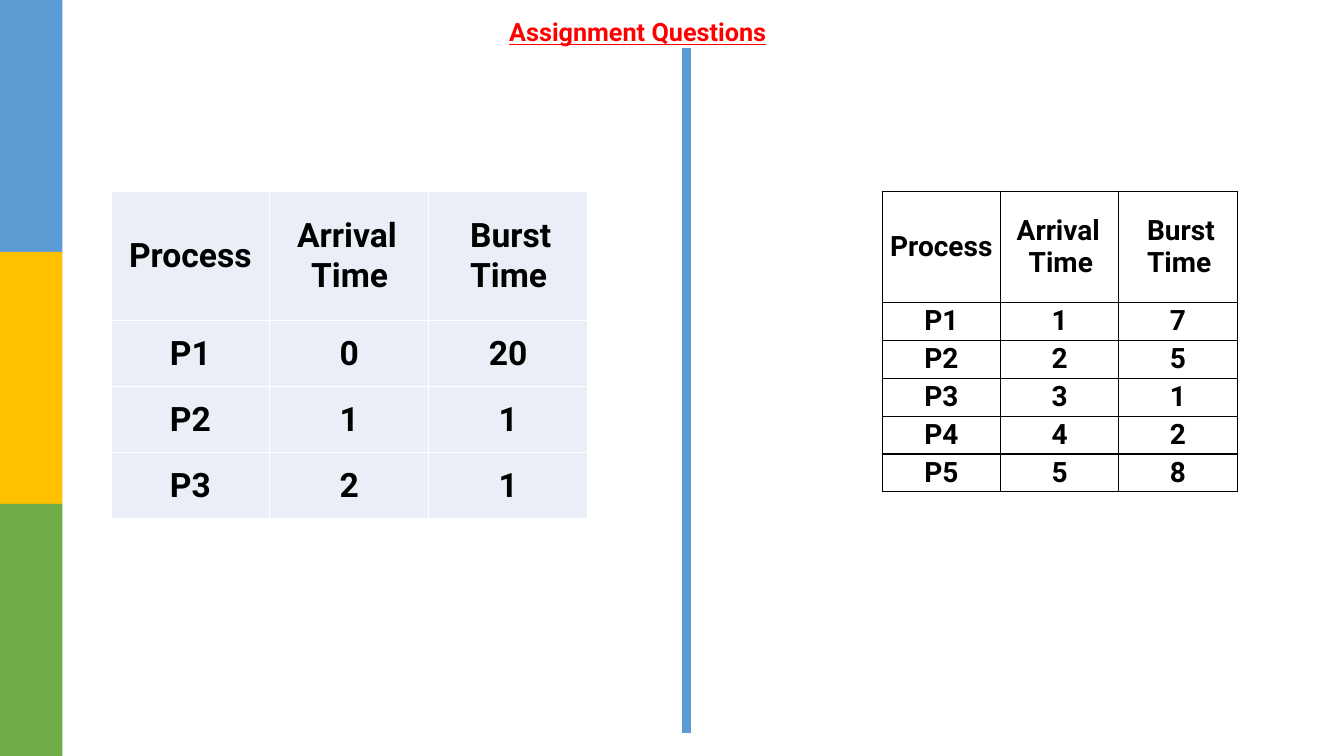
from lxml import etree
from pptx import Presentation
from pptx.dml.color import RGBColor
from pptx.enum import shapes, text
from pptx.oxml.ns import qn
from pptx.util import Inches, Pt

BLUE = RGBColor(0x5B, 0x9B, 0xD4)
YELLOW = RGBColor(0xFF, 0xC0, 0x00)
GREEN = RGBColor(0x6F, 0xAC, 0x46)
RED = RGBColor(0xFF, 0x00, 0x00)
BLACK = RGBColor(0x00, 0x00, 0x00)
WHITE = RGBColor(0xFF, 0xFF, 0xFF)
PALE_BLUE = RGBColor(0xEA, 0xEE, 0xF7)

FONT = "Roboto"
SLIDE_HEIGHT = 7.5
HEADINGS = [["Process"], ["Arrival", "Time"], ["Burst", "Time"]]


def add_run(paragraph, words, size, color):
    run = paragraph.add_run()
    run.text = words
    run.font.name = FONT
    run.font.size = Pt(size)
    run.font.bold = True
    run.font.color.rgb = color
    return run


def clear_margins(holder):
    holder.margin_left = holder.margin_right = 0
    holder.margin_top = holder.margin_bottom = 0


def add_title(slide, words):
    title = slide.shapes.title
    title.left, title.top = Inches(5.05), Inches(0.15)
    title.width, title.height = Inches(2.68), Inches(0.33)
    frame = title.text_frame
    clear_margins(frame)
    frame.word_wrap = True
    frame.auto_size = text.MSO_AUTO_SIZE.NONE
    frame.vertical_anchor = text.MSO_ANCHOR.MIDDLE
    heading = frame.paragraphs[0]
    heading.alignment = text.PP_ALIGN.LEFT
    heading.line_spacing = 1.0
    add_run(heading, words, 18, RED).font.underline = True


def add_side_bands(slide, colors):
    height = SLIDE_HEIGHT / len(colors)
    for i, color in enumerate(colors):
        band = slide.shapes.add_shape(
            shapes.MSO_SHAPE.RECTANGLE,
            0, Inches(i * height), Inches(0.62), Inches(height))
        band.shadow.inherit = False
        band.fill.solid()
        band.fill.fore_color.rgb = color
        band.line.fill.background()


def add_divider(slide):
    divider = slide.shapes.add_connector(
        shapes.MSO_CONNECTOR.STRAIGHT,
        Inches(6.81), Inches(0.48), Inches(6.81), Inches(7.27))
    divider.line.color.rgb = BLUE
    divider.line.width = Pt(6)
    etree.SubElement(divider._element.spPr, qn("a:effectLst"))


def set_borders(cell, color):
    """Draw a 1 pt line on all four sides; borders must precede the fill."""
    properties = cell._tc.get_or_add_tcPr()
    for i, side in enumerate(("lnL", "lnR", "lnT", "lnB")):
        border = etree.Element(qn(f"a:{side}"), w=str(Pt(1)))
        solid = etree.SubElement(border, qn("a:solidFill"))
        etree.SubElement(solid, qn("a:srgbClr"), val=str(color))
        properties.insert(i, border)


def fill_cell(cell, lines, size, indents=None):
    """Write the lines centred, or each at its own left indent."""
    clear_margins(cell)
    cell.vertical_anchor = text.MSO_ANCHOR.MIDDLE
    for i, words in enumerate(lines):
        frame = cell.text_frame
        paragraph = frame.add_paragraph() if i else frame.paragraphs[0]
        if indents:
            paragraph.alignment = text.PP_ALIGN.LEFT
            paragraph._p.get_or_add_pPr().set("marL", str(Inches(indents[i])))
        else:
            paragraph.alignment = text.PP_ALIGN.CENTER
        add_run(paragraph, words, size, BLACK)


def add_process_table(slide, left, width, height, head_height, processes,
                      size, indents, border, fill=None):
    rows = [HEADINGS] + [[[str(value)] for value in row] for row in processes]
    table = slide.shapes.add_table(
        len(rows), len(HEADINGS), Inches(left), Inches(1.9),
        Inches(width), Inches(height)).table
    table.first_row = table.horz_banding = False
    for column in table.columns:
        column.width = Inches(width / len(HEADINGS))
    for i, row in enumerate(rows):
        table.rows[i].height = Inches(
            (height - head_height) / len(processes) if i else head_height)
        for j, lines in enumerate(row):
            cell = table.cell(i, j)
            fill_cell(cell, lines, size, None if i else indents[j])
            if fill is None:
                cell.fill.background()
            else:
                cell.fill.solid()
                cell.fill.fore_color.rgb = fill
            set_borders(cell, border)


def main():
    presentation = Presentation()
    presentation.slide_width = Inches(13.33)
    presentation.slide_height = Inches(SLIDE_HEIGHT)
    slide = presentation.slides.add_slide(presentation.slide_layouts[5])

    add_side_bands(slide, [BLUE, YELLOW, GREEN])
    add_process_table(
        slide, 1.1, 4.73, 3.25, 1.28,
        [("P1", 0, 20), ("P2", 1, 1), ("P3", 2, 1)],
        24, [None, (0.27, 0.41), (0.41, 0.41)], WHITE, PALE_BLUE)
    add_process_table(
        slide, 8.75, 3.52, 2.98, 1.1,
        [("P1", 1, 7), ("P2", 2, 5), ("P3", 3, 1), ("P4", 4, 2), ("P5", 5, 8)],
        20, [None, (0.16, 0.28), (0.28, 0.28)], BLACK)
    add_divider(slide)
    add_title(slide, "Assignment Questions")
    presentation.save("out.pptx")


if __name__ == "__main__":
    main()
